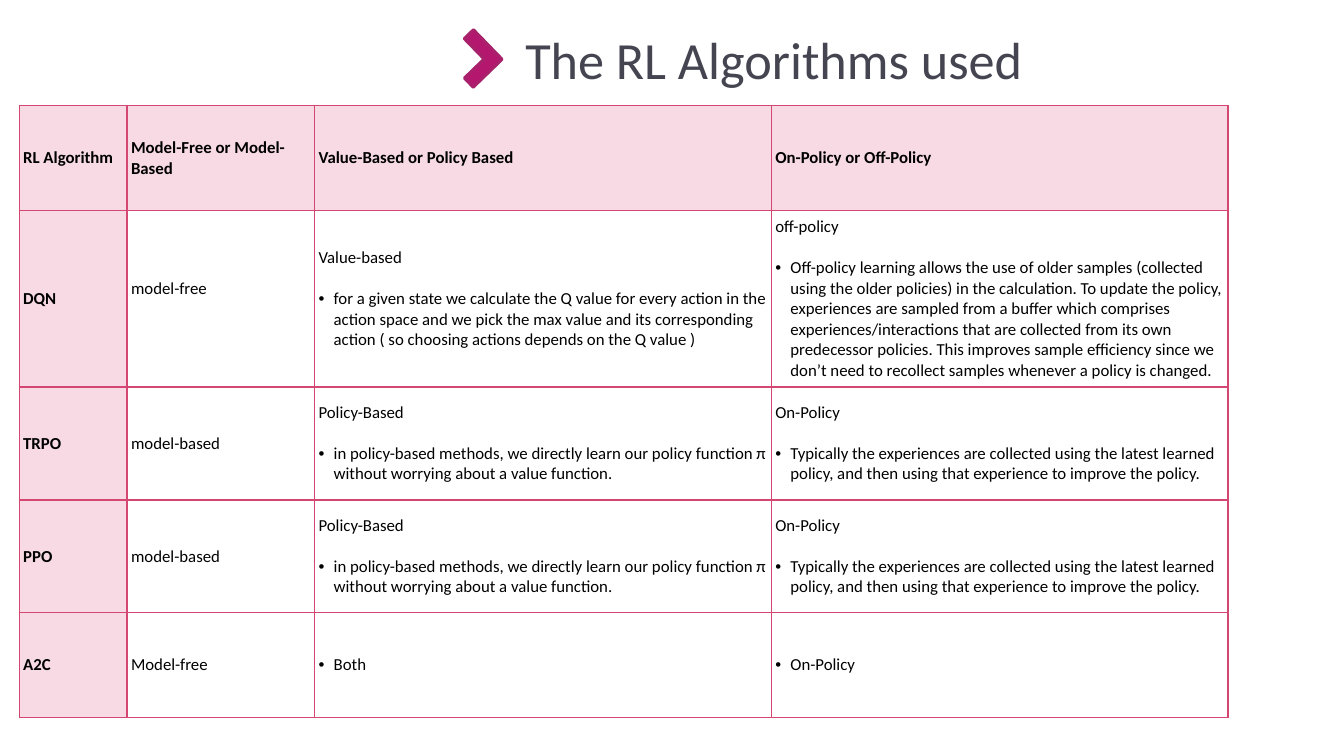
from lxml.etree import SubElement
from pptx import Presentation
from pptx.dml.color import RGBColor
from pptx.enum.shapes import MSO_SHAPE as Shape
from pptx.enum.text import MSO_ANCHOR as Anchor, PP_ALIGN as Align
from pptx.oxml.ns import qn
from pptx.util import Inches, Pt

TITLE = "The RL Algorithms used"
HEADERS = ["RL Algorithm", "Model-Free or Model-Based",
           "Value-Based or Policy Based", "On-Policy or Off-Policy"]
VALUE_BASED = (
    "Value-based",
    "• for a given state we calculate the Q value for every action in the action space "
    "and we pick the max value and its corresponding action "
    "( so choosing actions depends on the Q value )")
OFF_POLICY = (
    "off-policy",
    "• Off-policy learning allows the use of older samples (collected using the older "
    "policies) in the calculation. To update the policy, experiences are sampled from a "
    "buffer which comprises experiences/interactions that are collected from its own "
    "predecessor policies. This improves sample efficiency since we don’t need to "
    "recollect samples whenever a policy is changed.")
POLICY_BASED = (
    "Policy-Based",
    "• in policy-based methods, we directly learn our policy function π without "
    "worrying about a value function.")
ON_POLICY = (
    "On-Policy",
    "• Typically the experiences are collected using the latest learned policy, "
    "and then using that experience to improve the policy.")
ROWS = [
    [(header,) for header in HEADERS],
    [("DQN",), ("model-free",), VALUE_BASED, OFF_POLICY],
    [("TRPO",), ("model-based",), POLICY_BASED, ON_POLICY],
    [("PPO",), ("model-based",), POLICY_BASED, ON_POLICY],
    [("A2C",), ("Model-free",), ("• Both",), ("• On-Policy",)],
]
WIDTHS = [1.07, 1.86, 4.53, 4.53]
HEIGHTS = [1.04, 1.75, 1.12, 1.12, 1.04]
TABLE_LEFT, TABLE_TOP = 0.19, 1.05
MARGIN = 0.04
RAISED_CELL, RAISED_MARGIN = (1, 1), 0.24

FONT = "Calibri"
BLACK, WHITE, PINK, ROSE = "000000", "FFFFFF", "F7DAE3", "D54773"
MAGENTA, PLUM, SLATE = "B4186E", "A8216B", "454551"


def color(value):
    return RGBColor.from_string(value)


def style(para, size, ink, bold=False):
    for span in para.runs:
        span.font.name = FONT
        span.font.size = Pt(size)
        span.font.bold = bold
        span.font.color.rgb = color(ink)


def add_title(page):
    title = page.shapes.title
    title.left, title.top = Inches(5.11), Inches(0.19)
    title.width, title.height = Inches(8), Inches(0.78)
    frame = title.text_frame
    frame.text = TITLE
    frame.vertical_anchor = Anchor.MIDDLE
    frame.paragraphs[0].alignment = Align.LEFT
    style(frame.paragraphs[0], 37.3, SLATE)


def add_chevron(page):
    chevron = page.shapes.add_shape(
        Shape.from_xml("corner"), Inches(4.49), Inches(0.38), Inches(0.41), Inches(0.4))
    chevron.rotation = 225.9
    chevron.adjustments[0] = chevron.adjustments[1] = 0.32
    chevron.shadow.inherit = False
    chevron.fill.solid()
    chevron.fill.fore_color.rgb = color(MAGENTA)
    chevron.line.color.rgb = color(PLUM)
    chevron.line.width = Pt(2)


def add_borders(cell):
    properties = cell._tc.get_or_add_tcPr()
    for side in ("a:lnL", "a:lnR", "a:lnT", "a:lnB"):
        line = SubElement(properties, qn(side), w=str(Pt(1)))
        fill = SubElement(line, qn("a:solidFill"))
        SubElement(fill, qn("a:srgbClr"), val=ROSE)


def add_bullet(para):
    properties = para._p.get_or_add_pPr()
    properties.set("marL", str(Inches(0.15)))
    properties.set("indent", str(-Inches(0.15)))
    SubElement(properties, qn("a:buFont"), typeface="Arial")
    SubElement(properties, qn("a:buChar"), char="•")


def fill_cell(cell, lines, bold, shaded):
    add_borders(cell)
    cell.fill.solid()
    cell.fill.fore_color.rgb = color(PINK if shaded else WHITE)
    cell.vertical_anchor = Anchor.MIDDLE
    cell.margin_left = cell.margin_right = Inches(MARGIN)
    cell.margin_top = cell.margin_bottom = Inches(MARGIN)
    frame = cell.text_frame
    for index, line in enumerate(lines):
        para = frame.add_paragraph() if index else frame.paragraphs[0]
        para.text = line.removeprefix("• ")
        if index:
            para.space_before = Pt(14.65)
        if line.startswith("• "):
            add_bullet(para)
        style(para, 12, BLACK, bold)


def add_algorithms(page):
    table = page.shapes.add_table(
        len(ROWS), len(WIDTHS), Inches(TABLE_LEFT), Inches(TABLE_TOP),
        Inches(sum(WIDTHS)), Inches(sum(HEIGHTS))).table
    table.first_row = table.horz_banding = False
    for column, width in zip(table.columns, WIDTHS):
        column.width = Inches(width)
    for row, height in zip(table.rows, HEIGHTS):
        row.height = Inches(height)
    for r, row in enumerate(ROWS):
        for c, lines in enumerate(row):
            heading = r == 0 or c == 0
            fill_cell(table.cell(r, c), lines, heading, heading)
    table.cell(*RAISED_CELL).margin_bottom = Inches(RAISED_MARGIN)


def main():
    deck = Presentation()
    deck.slide_width, deck.slide_height = Inches(13.33), Inches(7.5)
    page = deck.slides.add_slide(deck.slide_layouts[5])
    add_chevron(page)
    add_title(page)
    add_algorithms(page)
    deck.save("out.pptx")


if __name__ == "__main__":
    main()
